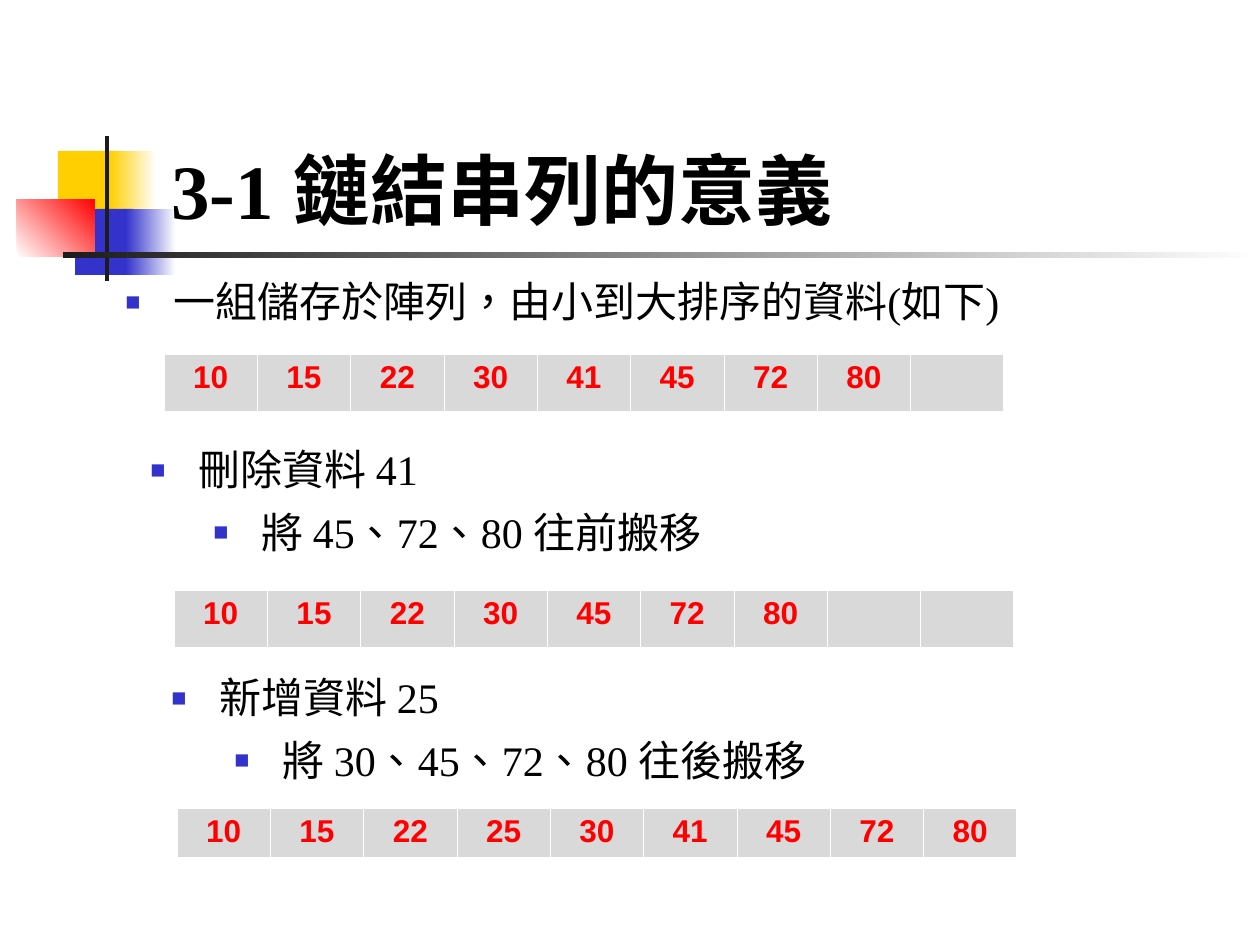
from lxml.etree import SubElement
from pptx import Presentation
from pptx.dml.color import RGBColor
from pptx.enum.lang import MSO_LANGUAGE_ID
from pptx.enum.shapes import MSO_SHAPE
from pptx.enum.text import MSO_ANCHOR, PP_ALIGN
from pptx.oxml import parse_xml
from pptx.oxml.ns import nsdecls, qn
from pptx.util import Pt

EMU_PER_PX = 914400 / 126
COLORS = {
    "yellow": "FFCF01",
    "blue": "3333CC",
    "red": "FF0000",
    "dark": "1C1C1C",
    "white": "FFFFFF",
    "black": "000000",
    "cell": "D9D9D9",
}


def px(value):
    return round(value * EMU_PER_PX)


def rgb(name):
    return RGBColor.from_string(COLORS[name])


class SlideBuilder:
    text_font = "Times New Roman"
    number_font = "Arial"
    borders = {"lnL": 0.45, "lnR": 0.45, "lnT": 0.45, "lnB": 1.47}

    def __init__(self, slide):
        self.slide = slide

    def block(self, box, color, end_color=None, angle=0):
        shape = self.slide.shapes.add_shape(MSO_SHAPE.RECTANGLE, *map(px, box))
        shape.shadow.inherit = False
        shape.line.fill.background()
        if end_color is None:
            shape.fill.solid()
            shape.fill.fore_color.rgb = rgb(color)
            return
        shape.fill.gradient()
        shape.fill.gradient_angle = angle
        for stop, name in zip(shape.fill.gradient_stops, (color, end_color)):
            stop.color.rgb = rgb(name)

    def text_frame(self, box, text, anchor=MSO_ANCHOR.TOP):
        text_frame = self.slide.shapes.add_textbox(*map(px, box)).text_frame
        text_frame.word_wrap = True
        text_frame.vertical_anchor = anchor
        text_frame.text = text
        return text_frame

    def format_paragraph(self, paragraph, size, spacing, bold=False):
        paragraph.alignment = PP_ALIGN.JUSTIFY
        paragraph.line_spacing = 0.9
        paragraph.space_before = paragraph.space_after = Pt(spacing)
        for run in paragraph.runs:
            self.format_run(run, self.text_font, size, "black", bold)
            run.font.language_id = MSO_LANGUAGE_ID.TRADITIONAL_CHINESE

    def format_run(self, run, font, size, color, bold):
        run.font.name = font
        run.font.size = Pt(size)
        run.font.bold = bold
        run.font.color.rgb = rgb(color)

    def title(self, box, text):
        text_frame = self.text_frame(box, text, MSO_ANCHOR.BOTTOM)
        self.format_paragraph(text_frame.paragraphs[0], 44, 6, True)

    def bullets(self, box, lines):
        text_frame = self.text_frame(box, "\n".join(lines))
        for level, paragraph in enumerate(text_frame.paragraphs):
            paragraph.level = level
            self.format_paragraph(paragraph, 24, 5)
            self.add_bullet(paragraph, 48 + 63 * level)

    def add_bullet(self, paragraph, margin):
        properties = paragraph._p.get_or_add_pPr()
        properties.set("marL", str(px(margin)))
        properties.set("indent", str(px(-48)))
        color = SubElement(properties, qn("a:buClr"))
        SubElement(color, qn("a:srgbClr"), val=COLORS["blue"])
        SubElement(properties, qn("a:buSzPct"), val="60000")
        SubElement(properties, qn("a:buFont"), typeface=self.number_font)
        SubElement(properties, qn("a:buChar"), char="■")

    def array(self, box, values, slots=9):
        table = self.slide.shapes.add_table(1, slots, *map(px, box)).table
        table.first_row = False
        table.horz_banding = False
        for index, cell in enumerate(table.rows[0].cells):
            cell.fill.solid()
            cell.fill.fore_color.rgb = rgb("cell")
            self.add_borders(cell)
            paragraph = cell.text_frame.paragraphs[0]
            paragraph.alignment = PP_ALIGN.CENTER
            if index < len(values):
                paragraph.text = str(values[index])
                self.format_run(paragraph.runs[0], self.number_font, 18, "red", True)

    def add_borders(self, cell):
        properties = cell._tc.get_or_add_tcPr()
        for position, (side, width) in enumerate(self.borders.items()):
            line = parse_xml(
                f'<a:{side} {nsdecls("a")} w="{Pt(width)}"><a:solidFill>'
                f'<a:srgbClr val="{COLORS["white"]}"/></a:solidFill></a:{side}>'
            )
            properties.insert(position, line)


def main():
    presentation = Presentation()
    presentation.slide_width = px(1260)
    presentation.slide_height = px(945)
    builder = SlideBuilder(presentation.slides.add_slide(presentation.slide_layouts[6]))

    builder.block((58, 151, 60, 66), "yellow")
    builder.block((110, 151, 46, 66), "yellow", "white")
    builder.block((75, 209, 58, 66), "blue")
    builder.block((126, 209, 50, 66), "blue", "white")
    builder.block((17, 199, 78, 58), "white", "red", 45)
    builder.block((105, 136, 4, 145), "dark")
    builder.block((63, 252, 1197, 6), "dark", "white")

    builder.title((159, 84, 1074, 158), "3-1 鏈結串列的意義")
    builder.bullets((113, 275, 1121, 69), ["一組儲存於陣列，由小到大排序的資料(如下)"])
    builder.array((164, 354, 840, 58), [10, 15, 22, 30, 41, 45, 72, 80])
    builder.bullets((138, 443, 1121, 118), ["刪除資料 41", "將 45、72、80 往前搬移"])
    builder.array((174, 590, 840, 58), [10, 15, 22, 30, 45, 72, 80])
    builder.bullets((159, 671, 1121, 118), ["新增資料 25", "將 30、45、72、80 往後搬移"])
    builder.array((177, 808, 840, 50), [10, 15, 22, 25, 30, 41, 45, 72, 80])

    presentation.save("out.pptx")


if __name__ == "__main__":
    main()
